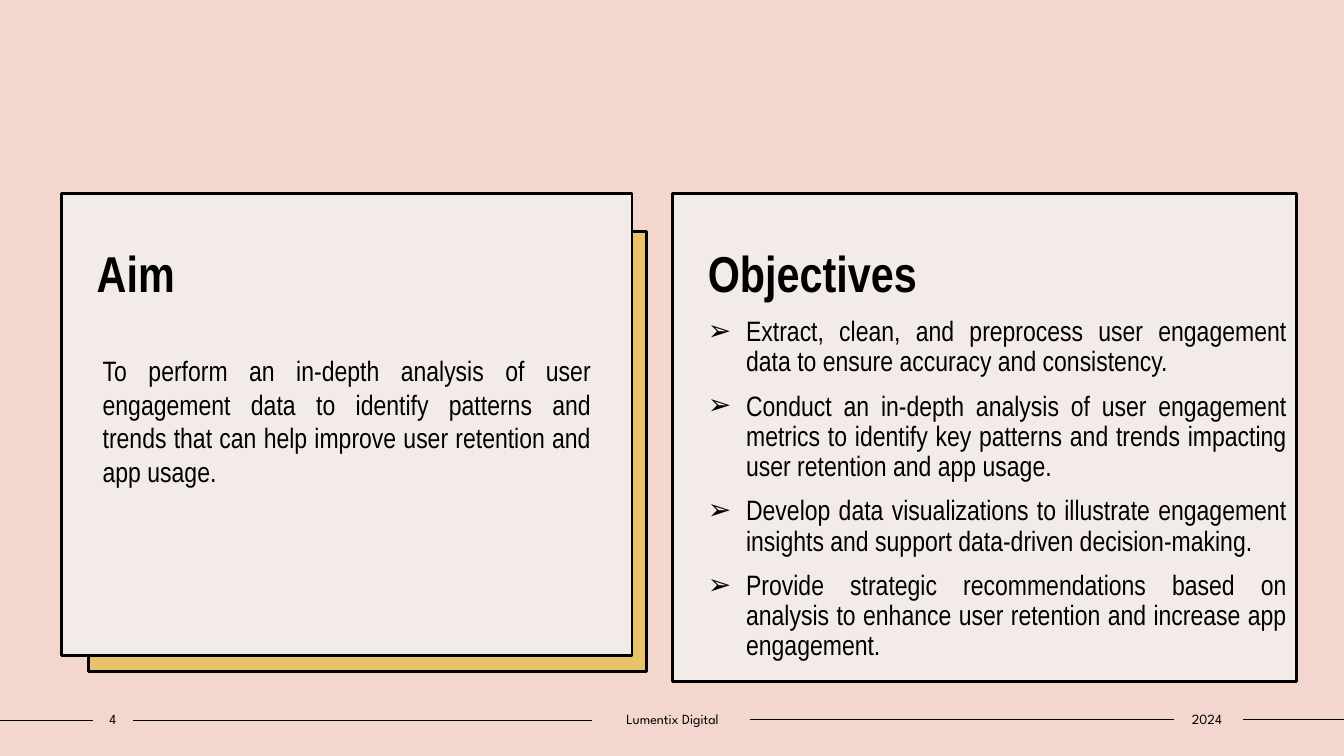
from dataclasses import dataclass
from pptx import Presentation
from pptx.dml.color import RGBColor as Rgb
from pptx.enum.shapes import MSO_CONNECTOR as Conn, MSO_SHAPE as Kind
from pptx.enum.text import MSO_ANCHOR as Anchor, PP_ALIGN as Align
from pptx.oxml.ns import qn
from pptx.util import Pt
from lxml.etree import SubElement as Sub

UNIT = 9144


@dataclass(frozen=True)
class Theme:
    back: str = "F3D6CD"
    card: str = "F3EBE8"
    gold: str = "E9C369"
    ink: str = "000000"
    face: str = "Arial Narrow"
    foot: str = "League Spartan"
    head: int = 36
    body: int = 20
    note: int = 10
    rule: int = 1
    edge: int = 2


THEME = Theme()
AIM = ("To perform an in-depth analysis of user engagement data to identify "
       "patterns and trends that can help improve user retention and app usage.")
GOALS = (
    "Extract, clean, and preprocess user engagement data to ensure accuracy "
    "and consistency.",
    "Conduct an in-depth analysis of user engagement metrics to identify key "
    "patterns and trends impacting user retention and app usage.",
    "Develop data visualizations to illustrate engagement insights and support "
    "data-driven decision-making.",
    "Provide strategic recommendations based on analysis to enhance user "
    "retention and increase app engagement.",
)


def px(num):
    return num * UNIT


def tint(name):
    return Rgb.from_string(name)


def write(para, text, size, face=THEME.face, bold=False):
    run = para.add_run()
    run.text = text
    font = run.font
    font.name, font.size, font.bold = face, Pt(size), bold
    font.color.rgb = tint(THEME.ink)


def inset(frame, left, top, right, base):
    frame.word_wrap = True
    frame.margin_left, frame.margin_top = px(left), px(top)
    frame.margin_right, frame.margin_bottom = px(right), px(base)


def panel(slide, box, fill):
    shape = slide.shapes.add_shape(Kind.RECTANGLE, *map(px, box))
    shape.shadow.inherit = False
    shape.fill.solid()
    shape.fill.fore_color.rgb = tint(fill)
    shape.line.color.rgb = tint(THEME.ink)
    shape.line.width = Pt(THEME.edge)
    return shape


def card(slide, box, title):
    frame = panel(slide, box, THEME.card).text_frame
    inset(frame, 35, 55, 10, 5)
    frame.vertical_anchor = Anchor.TOP
    para = frame.paragraphs[0]
    para.alignment = Align.LEFT
    para.line_spacing = 0.9
    write(para, title, THEME.head, bold=True)
    return frame


def textbox(slide, box):
    return slide.shapes.add_textbox(*map(px, box)).text_frame


def aim(slide, box):
    left, top, wide, high = box
    panel(slide, (left + 27, top + 38, wide - 13, high - 22), THEME.gold)
    card(slide, box, "Aim")
    frame = textbox(slide, (left + 31, top + 154, wide - 62, high - 153))
    inset(frame, 10, 5, 10, 5)
    para = frame.paragraphs[0]
    para.alignment = Align.JUSTIFY
    write(para, AIM, THEME.body)


def bullet(para, mark, gap):
    props = para._p.get_or_add_pPr()
    props.set("marL", str(px(gap)))
    props.set("indent", str(-px(gap)))
    Sub(props, qn("a:buFont"), typeface="Arial")
    Sub(props, qn("a:buChar"), char=mark)


def goals(slide, box):
    frame = card(slide, box, "Objectives")
    for goal in GOALS:
        para = frame.add_paragraph()
        bullet(para, "➢", 38)
        para.alignment = Align.JUSTIFY
        para.line_spacing = 0.9
        para.space_before = Pt(10)
        write(para, goal, THEME.body)


def rule(slide, start, end, high):
    line = slide.shapes.add_connector(
        Conn.STRAIGHT, px(start), px(high), px(end), px(high))
    line.line.color.rgb = tint(THEME.ink)
    line.line.width = Pt(THEME.rule)
    Sub(line._element.spPr, qn("a:effectLst"))


def footer(slide, box):
    left, top, wide, high = box
    for start, end, drop in ((0, 92, 15), (132, 587, 15),
                             (744, 1164, 14), (1233, wide, 14)):
        rule(slide, left + start, left + end, top + drop)
    for text, start, span in (("4", 92, 40), ("Lumentix Digital", 587, 160),
                              ("2024", 1162, 70)):
        frame = textbox(slide, (left + start, top, span, high))
        inset(frame, 0, 5, 0, 5)
        frame.vertical_anchor = Anchor.MIDDLE
        para = frame.paragraphs[0]
        para.alignment = Align.CENTER
        write(para, text, THEME.note, THEME.foot)


def main():
    deck = Presentation()
    deck.slide_width, deck.slide_height = px(1333), px(750)
    slide = deck.slides.add_slide(deck.slide_layouts[6])
    fill = slide.background.fill
    fill.solid()
    fill.fore_color.rgb = tint(THEME.back)
    aim(slide, (61, 192, 566, 458))
    goals(slide, (667, 192, 619, 484))
    footer(slide, (0, 700, 1333, 27))
    deck.save("out.pptx")


if __name__ == "__main__":
    main()
